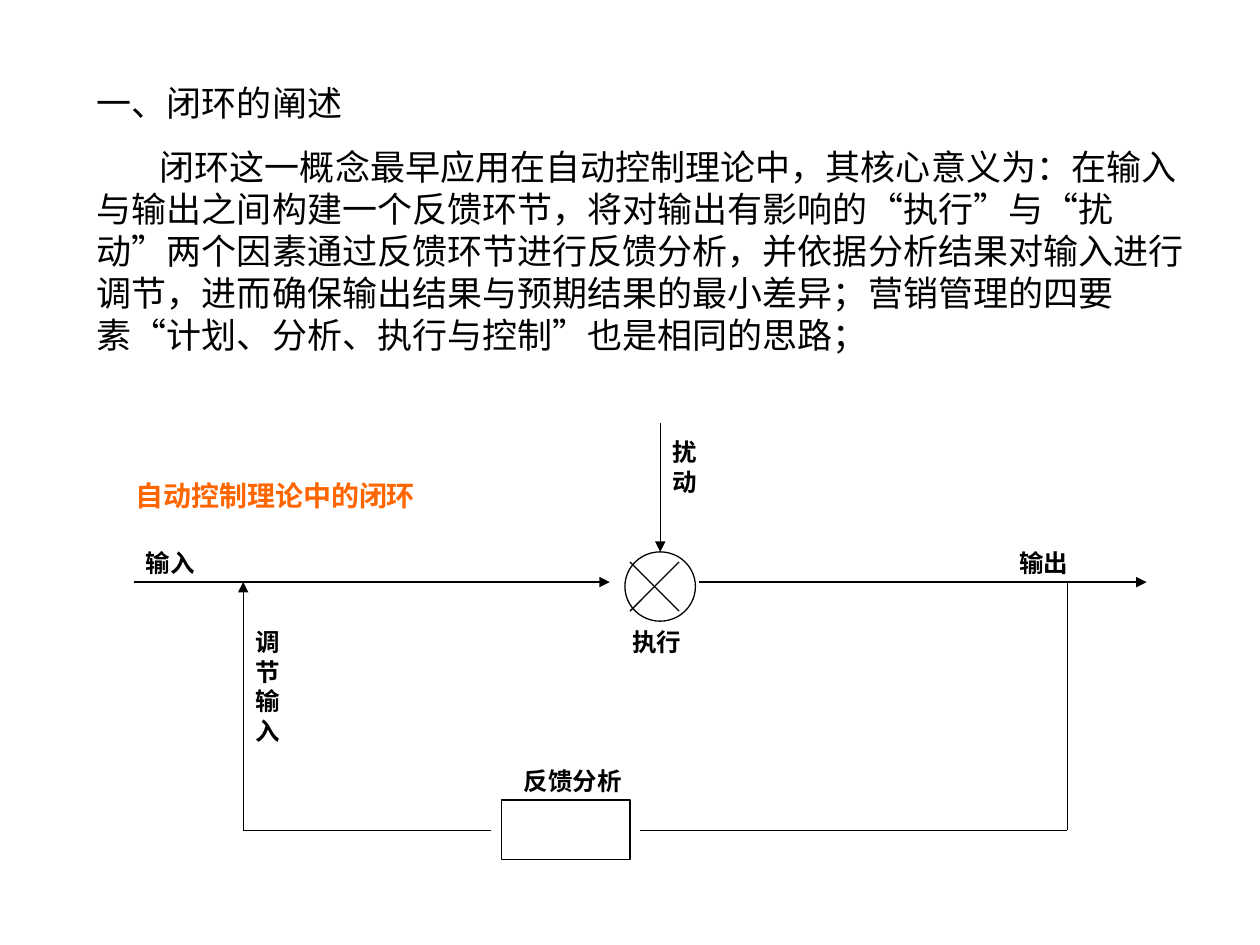
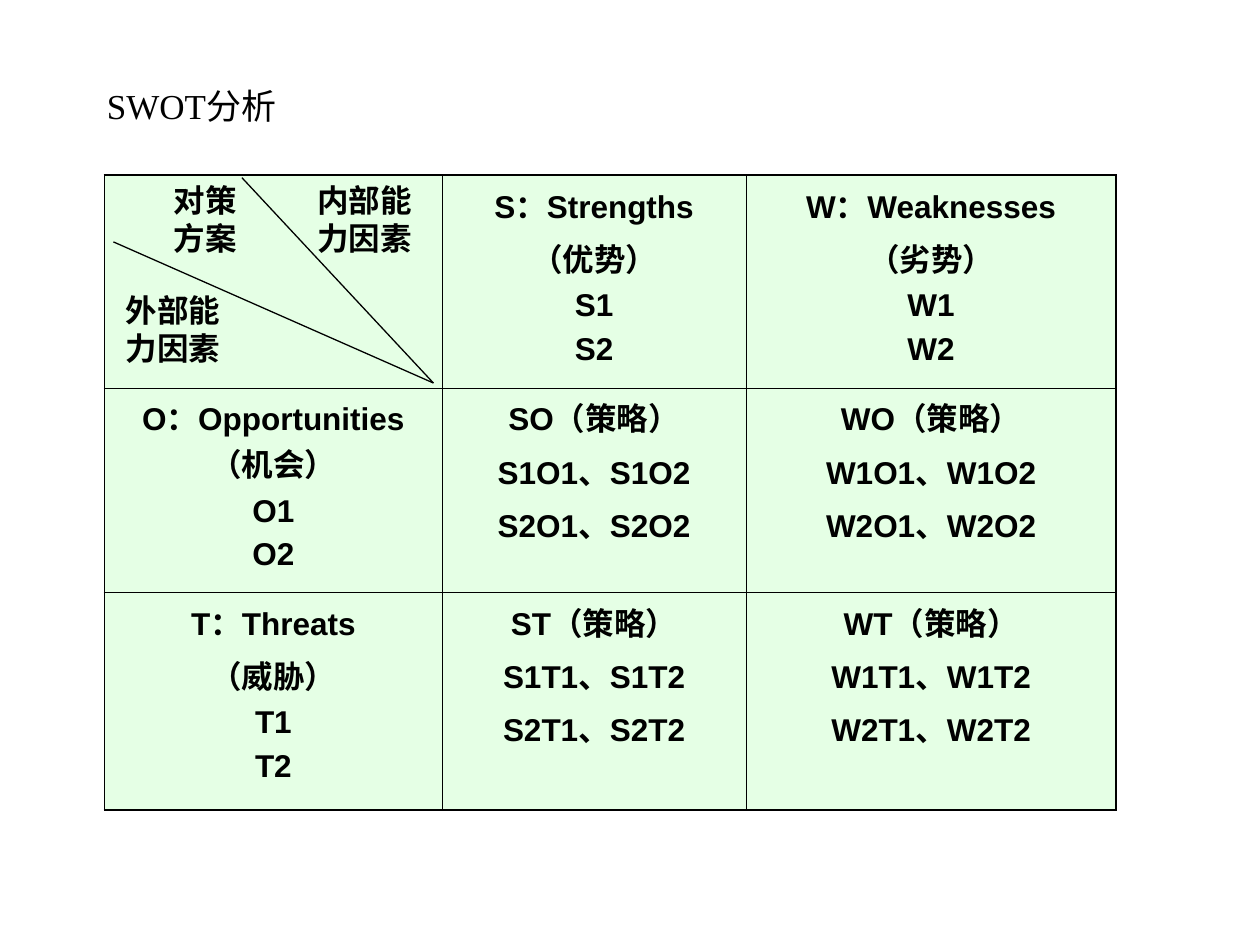
from lxml import etree
from pptx import Presentation
from pptx.dml.color import RGBColor
from pptx.enum.lang import MSO_LANGUAGE_ID as LANG
from pptx.enum.shapes import MSO_CONNECTOR, MSO_SHAPE
from pptx.enum.text import MSO_AUTO_SIZE, PP_ALIGN
from pptx.oxml import parse_xml
from pptx.oxml.ns import nsdecls, qn
from pptx.util import Inches, Pt

BLACK = RGBColor(0x00, 0x00, 0x00)
ORANGE = RGBColor(0xFF, 0x66, 0x00)
GREEN = RGBColor(0xCC, 0xFF, 0xCC)
ARIAL, TIMES = "Arial", "Times New Roman"
LINE_WIDTH = 0.75
OUTER, INNER = 1.08, 0.45


def write(tf, paragraphs, size=14, font=ARIAL, color=BLACK, bold=False,
          align=PP_ALIGN.LEFT, gap=0, spacing=None, indent=0):
    """Fill a text frame; gap and indent apply after the first paragraph."""
    tf.word_wrap = True
    for i, text in enumerate(paragraphs):
        p = tf.add_paragraph() if i else tf.paragraphs[0]
        p.alignment = align
        p.space_before = Pt(gap if i else 0)
        if spacing:
            p.line_spacing = spacing
        if i and indent:
            p._p.get_or_add_pPr().set("indent", str(Inches(indent)))
        r = p.add_run()
        r.text = text
        r.font.size, r.font.name, r.font.bold = Pt(size), font, bold
        r.font.color.rgb = color
        r.font.language_id = LANG.SIMPLIFIED_CHINESE


def add_line(slide, x1, y1, x2, y2, arrow=False):
    line = slide.shapes.add_connector(
        MSO_CONNECTOR.STRAIGHT, Inches(x1), Inches(y1), Inches(x2), Inches(y2))
    line.line.color.rgb = BLACK
    line.line.width = Pt(LINE_WIDTH)
    if arrow:
        etree.SubElement(line.line._get_or_add_ln(), qn("a:tailEnd"), type="triangle")
    etree.SubElement(line._element.spPr, qn("a:effectLst"))
    return line


prs = Presentation()
prs.slide_width, prs.slide_height = Inches(10), Inches(7.5)
loop_slide, swot_slide = [prs.slides.add_slide(prs.slide_layouts[6]) for _ in range(2)]

# Closed-loop diagram
nodes = []
for kind, box in [(MSO_SHAPE.OVAL, (4.96, 4.38, 0.56, 0.55)),
                  (MSO_SHAPE.RECTANGLE, (3.98, 6.35, 1.02, 0.47))]:
    sp = loop_slide.shapes.add_shape(kind, *map(Inches, box))
    sp.shadow.inherit = False
    sp.fill.background()
    sp.line.color.rgb = BLACK
    sp.line.width = Pt(LINE_WIDTH)
    nodes.append(sp)
execution, feedback = nodes

FLOW_Y, RETURN_Y = 4.62, 6.59
ADJUST_X, OUTPUT_X = 1.93, 8.47
for x1, y1, x2, y2, arrow in [
    (1.06, FLOW_Y, 4.84, FLOW_Y, True),
    (5.55, FLOW_Y, 9.1, FLOW_Y, True),
    (OUTPUT_X, FLOW_Y, OUTPUT_X, RETURN_Y, False),
    (OUTPUT_X, RETURN_Y, 5.08, RETURN_Y, False),
    (3.9, RETURN_Y, ADJUST_X, RETURN_Y, False),
    (ADJUST_X, RETURN_Y, ADJUST_X, FLOW_Y, True),
    (5.39, 4.46, 5, 4.85, False),
    (5, 4.46, 5.39, 4.85, False),
]:
    add_line(loop_slide, x1, y1, x2, y2, arrow)
disturbance = add_line(loop_slide, 5.24, 3.36, 5.24, 4.38, arrow=True)
disturbance.end_connect(execution, 0)

# SWOT table
CELLS = [
    [[],
     ["S：Strengths", "（优势）", "S1", "S2"],
     ["W：Weaknesses", "（劣势）", "W1", "W2"]],
    [["O：Opportunities（机会）", "O1", "O2"],
     ["SO（策略）", "S1O1、S1O2", "S2O1、S2O2"],
     ["WO（策略）", "W1O1、W1O2", "W2O1、W2O2"]],
    [["T：Threats", "（威胁）", "T1", "T2"],
     ["ST（策略）", "S1T1、S1T2", "S2T1、S2T2"],
     ["WT（策略）", "W1T1、W1T2", "W2T1、W2T2"]],
]
table = swot_slide.shapes.add_table(
    3, 3, Inches(0.83), Inches(1.39), Inches(8.03), Inches(5.04)).table
table.first_row = table.horz_banding = False
for column, width in zip(table.columns, (2.68, 2.41, 2.94)):
    column.width = Inches(width)
for row, height in zip(table.rows, (1.69, 1.62, 1.73)):
    row.height = Inches(height)

for i, row in enumerate(CELLS):
    for j, paragraphs in enumerate(row):
        cell = table.cell(i, j)
        write(cell.text_frame, paragraphs, size=18, bold=True,
              align=PP_ALIGN.CENTER, gap=4.5)
        cell.fill.solid()
        cell.fill.fore_color.rgb = GREEN
        tcPr = cell._tc.get_or_add_tcPr()
        etree.SubElement(tcPr.find(".//" + qn("a:srgbClr")), qn("a:alpha"), val="50000")
        sides = [("L", j == 0), ("R", j == 2), ("T", i == 0), ("B", i == 2)]
        for k, (side, is_outer) in enumerate(sides):
            width = Pt(OUTER if is_outer else INNER)
            tcPr.insert(k, parse_xml(
                f'<a:ln{side} {nsdecls("a")} w="{width}"><a:solidFill>'
                f'<a:srgbClr val="{BLACK}"/></a:solidFill></a:ln{side}>'))

for x, y in [(1.92, 1.41), (0.9, 1.92)]:
    add_line(swot_slide, x, y, 3.44, 3.04)

# Text boxes on both slides
LABEL = dict(bold=True)
CORNER = dict(size=18, font=TIMES, bold=True)
INTRO = [
    "一、闭环的阐述",
    "闭环这一概念最早应用在自动控制理论中，其核心意义为：在输入与输出之间构建一个反馈环节，"
    "将对输出有影响的“执行”与“扰动”两个因素通过反馈环节进行反馈分析，"
    "并依据分析结果对输入进行调节，进而确保输出结果与预期结果的最小差异；"
    "营销管理的四要素“计划、分析、执行与控制”也是相同的思路；",
]
for slide, box, paragraphs, style in [
    (loop_slide, (0.67, 0.6, 8.94, 2.28), INTRO, dict(size=20, gap=12.5, indent=0.5)),
    (loop_slide, (0.98, 3.75, 3.31, 0.37), ["自动控制理论中的闭环"],
     dict(size=16, color=ORANGE, bold=True)),
    (loop_slide, (1.06, 4.3, 0.87, 0.34), ["输入"], LABEL),
    (loop_slide, (7.99, 4.3, 0.87, 0.34), ["输出"], LABEL),
    (loop_slide, (4.92, 4.93, 0.87, 0.34), ["执行"], LABEL),
    (loop_slide, (5.24, 3.42, 0.55, 0.57), ["扰动"], LABEL),
    (loop_slide, (4.06, 6.03, 1.34, 0.34), ["反馈分析"], LABEL),
    (loop_slide, (1.93, 4.93, 0.55, 1.04), ["调节输入"], LABEL),
    (swot_slide, (0.75, 0.52, 8.74, 0.54), ["SWOT分析"],
     dict(size=20, font=TIMES, spacing=1.3)),
    (swot_slide, (2.42, 1.39, 1.01, 0.7), ["内部能力因素"], CORNER),
    (swot_slide, (1.28, 1.39, 0.76, 0.7), ["对策方案"], CORNER),
    (swot_slide, (0.9, 2.26, 1.01, 0.7), ["外部能力因素"], CORNER),
]:
    tf = slide.shapes.add_textbox(*map(Inches, box)).text_frame
    tf.auto_size = MSO_AUTO_SIZE.SHAPE_TO_FIT_TEXT
    write(tf, paragraphs, **style)

prs.save("out.pptx")
